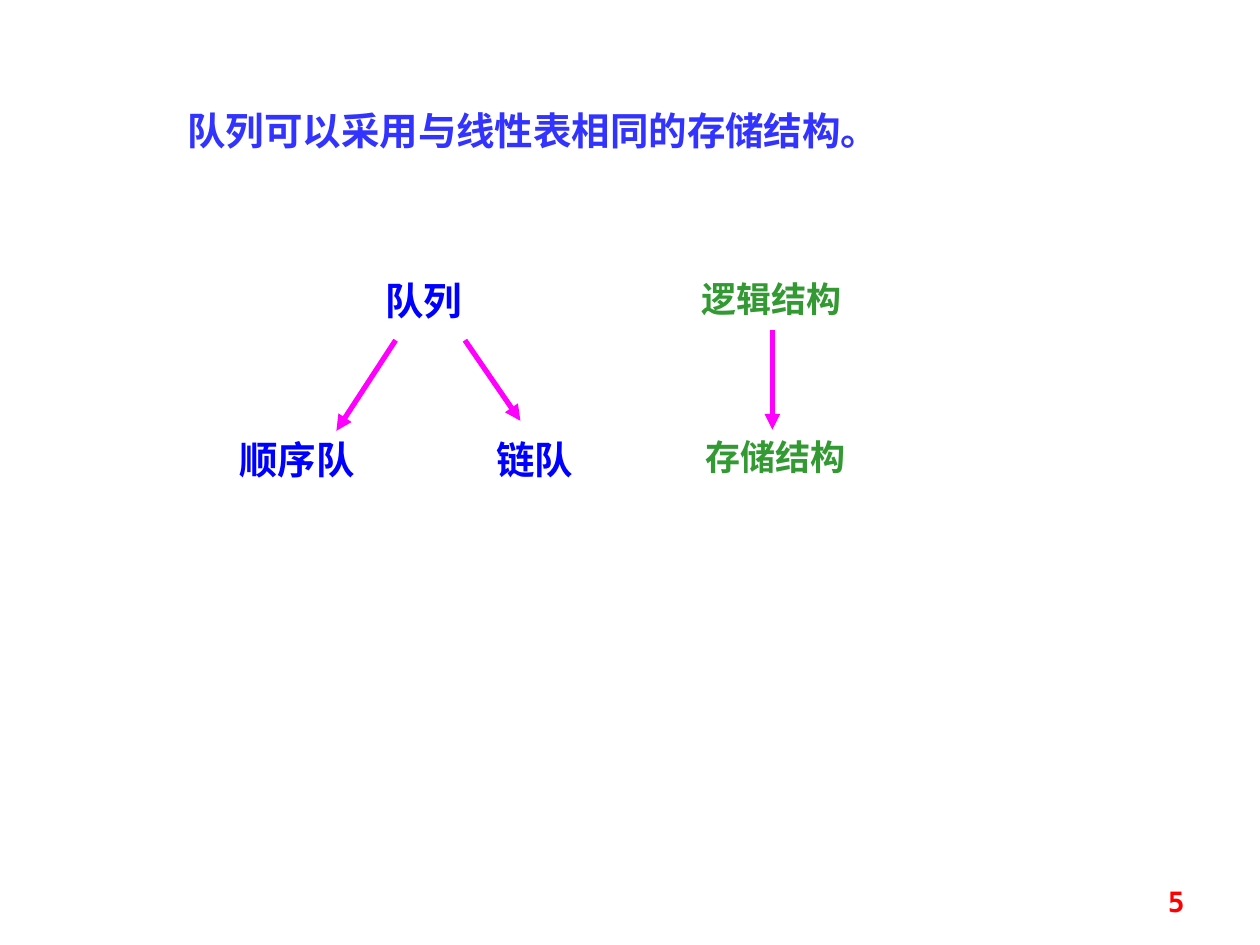
"""Build a slide on the storage structures of a queue."""
from lxml import etree
from pptx import Presentation
from pptx.dml.color import RGBColor
from pptx.enum.shapes import MSO_CONNECTOR
from pptx.enum.text import MSO_ANCHOR, PP_ALIGN
from pptx.oxml.ns import qn
from pptx.util import Inches, Pt

STRAIGHT = MSO_CONNECTOR.STRAIGHT
LEFT, CENTER, RIGHT = PP_ALIGN.LEFT, PP_ALIGN.CENTER, PP_ALIGN.RIGHT
TOP, MIDDLE = MSO_ANCHOR.TOP, MSO_ANCHOR.MIDDLE
COLORS = {"statement": "3333FF", "queue": "0000FF", "structure": "339933",
          "arrow": "FF00FF", "number": "FF0000"}
SERIF, MONO = "Times New Roman", "DejaVu Sans Mono"
UPPER, LOWER = 2.15, 3.41

prs = Presentation()
prs.slide_width, prs.slide_height = Inches(10), Inches(7.5)
slide = prs.slides.add_slide(prs.slide_layouts[6])


def add_label(text, box, size, color, align=LEFT, font=SERIF, anchor=TOP):
    frame = slide.shapes.add_textbox(*map(Inches, box)).text_frame
    frame.word_wrap = True
    frame.vertical_anchor = anchor
    paragraph = frame.paragraphs[0]
    paragraph.alignment = align
    run = paragraph.add_run()
    run.text = text
    run.font.name = font
    run.font.size = Pt(size)
    run.font.bold = True
    run.font.color.rgb = RGBColor.from_string(COLORS[color])
    return paragraph


statement = add_label("队列可以采用与线性表相同的存储结构。",
                      (0.78, 0.62, 8.83, 0.59), 22, "statement")
statement.line_spacing = 1.5
statement._p.get_or_add_pPr().set("indent", str(Inches(0.61)))

for text, left, top, width, align in [
    ("队列", 2.82, UPPER, 1.09, CENTER),
    ("顺序队", 1.8, LOWER, 1.65, LEFT),
    ("链队", 3.84, LOWER, 1.18, LEFT),
]:
    add_label(text, (left, top, width, 0.47), 22, "queue", align)

for text, left, top, width in [
    ("逻辑结构", 5.47, UPPER, 1.48),
    ("存储结构", 5.5, LOWER, 1.57),
]:
    add_label(text, (left, top, width, 0.43), 20, "structure")

for ends in [
    (3.14, 2.7, 2.67, 3.42),
    (3.69, 2.7, 4.13, 3.34),
    (6.13, 2.62, 6.13, 3.41),
]:
    arrow = slide.shapes.add_connector(STRAIGHT, *map(Inches, ends))
    arrow.line.width = Pt(3)
    arrow.line.color.rgb = RGBColor.from_string(COLORS["arrow"])
    etree.SubElement(arrow.line._get_or_add_ln(), qn("a:tailEnd"), type="triangle")
    etree.SubElement(arrow._element.spPr, qn("a:effectLst"))

add_label("5", (7.17, 6.95, 2.33, 0.4), 16, "number", RIGHT, MONO, MIDDLE)

prs.save("out.pptx")
